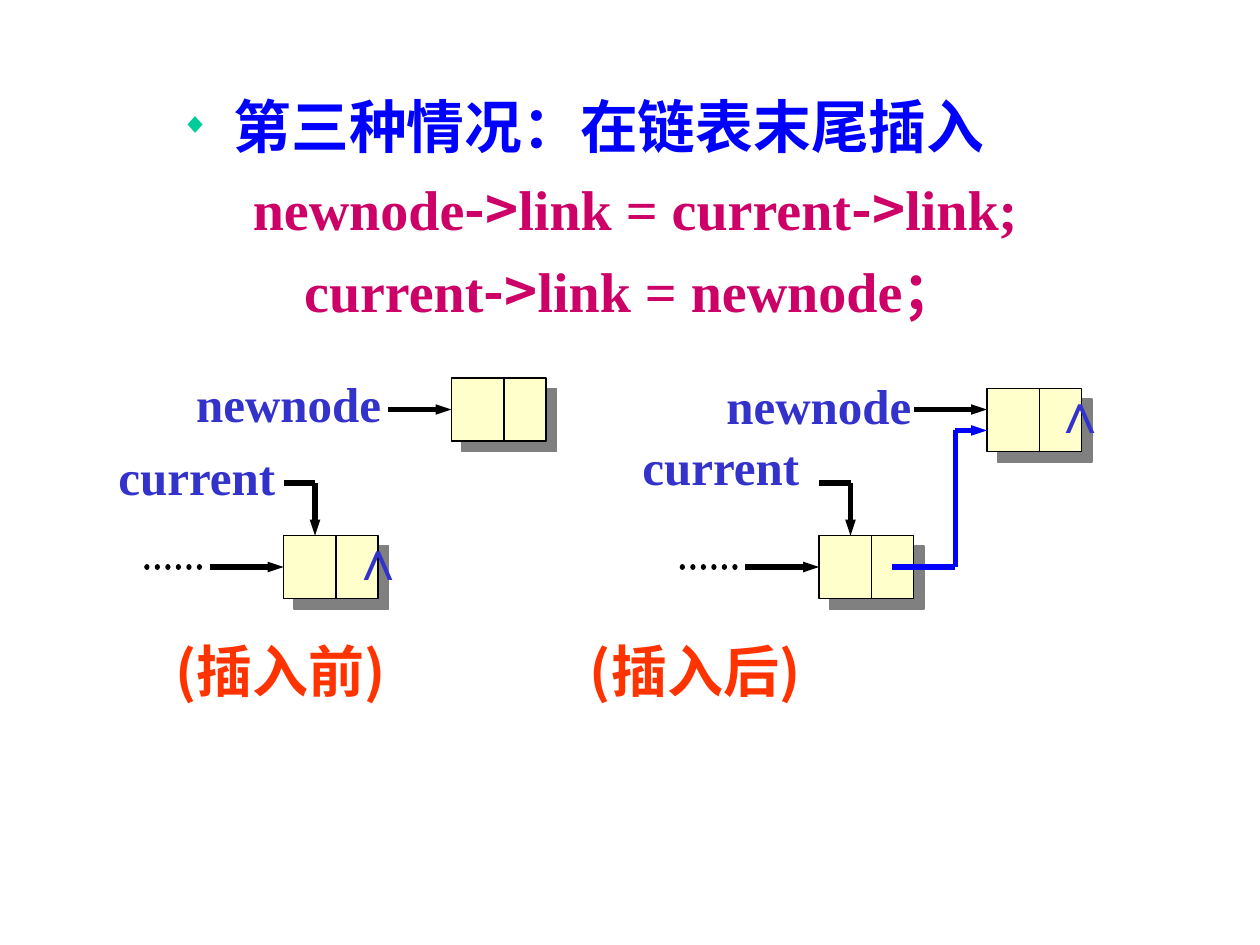
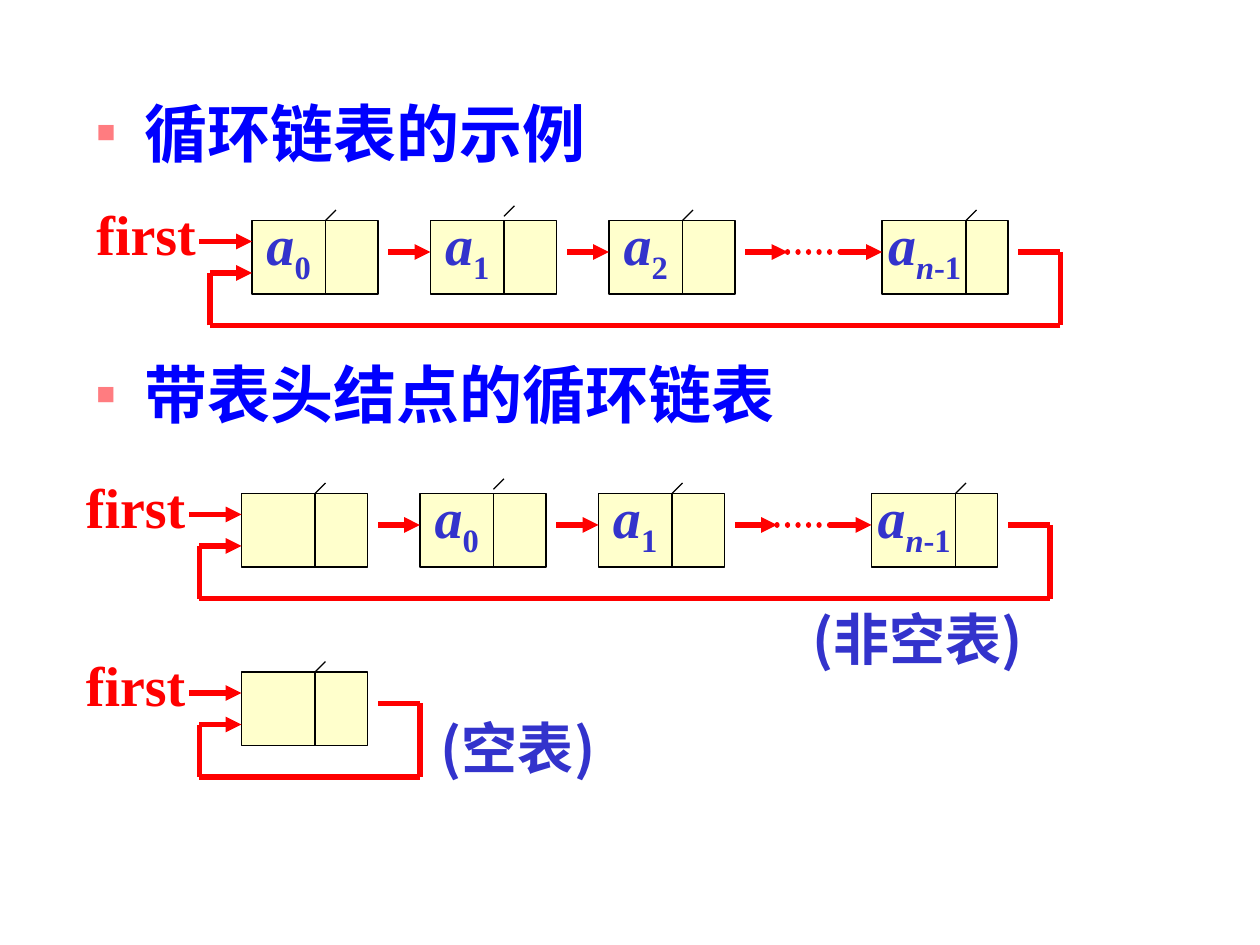
import dataclasses
import itertools

import lxml.etree
import pptx
import pptx.dml.color
import pptx.enum.dml
import pptx.enum.shapes
import pptx.enum.text
import pptx.oxml
import pptx.oxml.ns
import pptx.util


@dataclasses.dataclass(frozen=True)
class Theme:
    heading: str = "0000FF"
    code: str = "CC0066"
    label: str = "3333CC"
    caption: str = "FF3300"
    loop: str = "FF0000"
    ink: str = "000000"
    node: str = "FFFFCC"
    shadow: str = "808080"
    diamond: str = "00CC99"
    square: str = "FF7C80"
    serif: str = "Times New Roman"
    sans: str = "Arial"
    chinese: str = "Noto Sans CJK SC"
    first_heading_size: int = 33
    heading_size: int = 36
    body_size: int = 32
    pointer_size: int = 28
    thin: float = 0.75
    thick: float = 3


THEME = Theme()
GRID = 2.54 / 12  # all positions are counted in twelfths of an inch
qn = pptx.oxml.ns.qn
rgb = pptx.dml.color.RGBColor.from_string


def add_text(slide, text, left, top, width, height=7, shape=None, size=THEME.body_size,
             color=THEME.label, font=THEME.serif, bullet=None, bullet_color=None,
             hanging=0, line_spacing=None):
    """Place text: a string, or a list of (string, run format) pairs."""
    box = [pptx.util.Cm(value * GRID) for value in (left, top, width, height)]
    if shape is None:
        shape = slide.shapes.add_textbox(*box)
    shape.left, shape.top, shape.width, shape.height = box
    frame = shape.text_frame
    frame.word_wrap = True
    frame.auto_size = pptx.enum.text.MSO_AUTO_SIZE.NONE
    frame.vertical_anchor = pptx.enum.text.MSO_ANCHOR.TOP
    paragraph = frame.paragraphs[0]
    paragraph.alignment = pptx.enum.text.PP_ALIGN.LEFT
    if line_spacing:
        paragraph.line_spacing = line_spacing
    if bullet:
        properties = paragraph._p.get_or_add_pPr()
        indent = pptx.util.Cm(hanging)
        properties.set("marL", str(indent))
        properties.set("indent", str(-indent))
        bullet_color_element = lxml.etree.SubElement(properties, qn("a:buClr"))
        lxml.etree.SubElement(bullet_color_element, qn("a:srgbClr"), val=bullet_color)
        lxml.etree.SubElement(properties, qn("a:buSzPct"), val="50000")
        lxml.etree.SubElement(properties, qn("a:buFont"), typeface=THEME.sans)
        lxml.etree.SubElement(properties, qn("a:buChar"), char=bullet)
    for content, run_format in [(text, {})] if isinstance(text, str) else text:
        run = paragraph.add_run()
        run.text = content
        run.font.size = pptx.util.Pt(size)
        run.font.bold = True
        run.font.italic = run_format.get("italic", False)
        run.font.color.rgb = rgb(color)
        run.font.name = run_format.get("font", font)
        run_properties = run._r.get_or_add_rPr()
        east_asian = lxml.etree.Element(qn("a:ea"), typeface=THEME.chinese)
        run_properties.find(qn("a:latin")).addnext(east_asian)
        if "baseline" in run_format:
            run_properties.set("baseline", str(run_format["baseline"] * 1000))


def add_path(slide, points, color=THEME.ink, width=THEME.thick, arrow=None, dotted=False):
    """Join the points with straight lines; arrow is the head width on the last one."""
    for start, end in itertools.pairwise(points):
        ends = [pptx.util.Cm(value * GRID) for value in (*start, *end)]
        connector = slide.shapes.add_connector(pptx.enum.shapes.MSO_CONNECTOR.STRAIGHT, *ends)
        connector.line.color.rgb = rgb(color)
        connector.line.width = pptx.util.Pt(width)
        line = connector.line._get_or_add_ln()
        if dotted:
            connector.line.dash_style = pptx.enum.dml.MSO_LINE.ROUND_DOT
            line.set("cap", "rnd")
        if arrow and end == points[-1]:
            lxml.etree.SubElement(line, qn("a:tailEnd"), type="triangle", w=arrow, len="med")
        lxml.etree.SubElement(connector._element.spPr, qn("a:effectLst"))


presentation = pptx.Presentation()
presentation.slide_width = pptx.util.Cm(25.4)
presentation.slide_height = pptx.util.Cm(19.05)
title_only = presentation.slide_layouts[5]
insert_slide = presentation.slides.add_slide(title_only)
circular_slide = presentation.slides.add_slide(title_only)

# Headings
add_text(insert_slide, "第三种情况：在链表末尾插入", 16, 8, 94,
         shape=insert_slide.shapes.title, size=THEME.first_heading_size, color=THEME.heading,
         bullet="◆", bullet_color=THEME.diamond, hanging=1.07)
for text, top, shape in (("循环链表的示例", 8, circular_slide.shapes.title),
                         ("带表头结点的循环链表", 32.9, None)):
    add_text(circular_slide, text, 8, top, 102, shape=shape, size=THEME.heading_size,
             color=THEME.heading, bullet="■", bullet_color=THEME.square,
             hanging=0.97, line_spacing=1.05)

# Circular lists: left and top of the first node, then the item in each node
NODE_STEP, LAST_NODE_OFFSET = 17, 60
circular_lists = [
    (24, 21, ["0", "1", "2", "n"]),
    (23, 47, ["", "0", "1", "n"]),
    (23, 64, [""]),
]

# Nodes of both slides: slide, left, top, width, height, divider
nodes = [(insert_slide, left, top, 9, 6, 5)
         for left, top in ((27, 51), (43, 36), (78, 51), (94, 37))]
for left, top, items in circular_lists:
    for index, item in enumerate(items):
        offset = LAST_NODE_OFFSET if item == "n" else index * NODE_STEP
        divider = 8 if item == "n" else 7
        nodes.append((circular_slide, left + offset, top, 12, 7, divider))
        # Slash above the divider, raised a little on the second node
        slash_top = top - 0.4 if index == 1 else top
        slash_left = left + offset + divider
        add_path(circular_slide, [(slash_left, slash_top), (slash_left + 1, slash_top - 1)],
                 width=THEME.thin)

for slide, left, top, width, height, divider in nodes:
    node = slide.shapes.add_shape(
        pptx.enum.shapes.MSO_SHAPE.RECTANGLE,
        *[pptx.util.Cm(value * GRID) for value in (left, top, width, height)])
    node.fill.solid()
    node.fill.fore_color.rgb = rgb(THEME.node)
    node.line.color.rgb = rgb(THEME.ink)
    node.line.width = pptx.util.Pt(THEME.thin)
    node.shadow.inherit = False
    if slide is insert_slide:
        effects = node._element.spPr.find(qn("a:effectLst"))
        shadow = lxml.etree.SubElement(effects, qn("a:outerShdw"), algn="ctr", rotWithShape="0",
                                       dist=str(pptx.util.Pt(8.5)), dir=str(45 * 60000))
        lxml.etree.SubElement(shadow, qn("a:srgbClr"), val=THEME.shadow)
    add_path(slide, [(left + divider, top), (left + divider, top + height)], width=THEME.thin)

# Slide 1: code
arrow_run = ("->", {"font": THEME.chinese})
for runs, left, top in (
    ([("newnode", {}), arrow_run, ("link = current", {}), arrow_run, ("link;", {})], 22.9, 16),
    ([("current", {}), arrow_run, ("link = newnode；", {})], 27.8, 23.8),
):
    add_text(insert_slide, runs, left, top, 85, color=THEME.code)

# Slide 1: the list end, before and after
for shift in (0, 51):
    add_path(insert_slide, [(19 + shift, 54), (13 + shift, 54)], dotted=True)
    add_path(insert_slide, [(20 + shift, 54), (27 + shift, 54)], arrow="sm")
    add_path(insert_slide, [(27 + shift, 46), (30 + shift, 46), (30 + shift, 51)], arrow="sm")
for start, end in ((37, 43), (87, 94)):
    add_path(insert_slide, [(start, 39), (end, 39)], arrow="sm")
add_path(insert_slide, [(85, 54), (91, 54), (91, 41), (94, 41)],
         color=THEME.heading, arrow="sm")
for text, left, top in (("newnode", 17.5, 35), ("newnode", 68, 35.2),
                        ("current", 10.1, 41.9), ("current", 60, 41)):
    add_text(insert_slide, text, left, top, 22, size=THEME.pointer_size)
for left, top in ((32.2, 49.4), (99.1, 35.4)):
    add_text(insert_slide, "∧", left, top, 10, font=THEME.sans)
for text, left in (("(插入前)", 15.5), ("(插入后)", 55)):
    add_text(insert_slide, text, left, 60, 32, color=THEME.caption, font=THEME.chinese)

# Slide 2: links, items and the way back to the first node
for left, top, items in circular_lists:
    link = top + 3
    last = left + (LAST_NODE_OFFSET if "n" in items else 0)
    add_text(circular_slide, "first", left - 16, top - 2.6, 14, color=THEME.loop)
    paths = [
        [(left - 5, top + 2), (left, top + 2)],
        [(last + 13, link), (last + 17, link), (last + 17, top + 10),
         (left - 4, top + 10), (left - 4, top + 5), (left, top + 5)],
    ]
    if "n" in items:
        starts = [left + 13 + index * NODE_STEP for index in range(3)] + [last - 4]
        paths += [[(start, link), (start + 4, link)] for start in starts]
        add_path(circular_slide, [(last - 9, link), (last - 3, link)],
                 color=THEME.loop, dotted=True)
    for points in paths:
        add_path(circular_slide, points, color=THEME.loop, arrow="med")
    for index, item in enumerate(items):
        if item == "n":
            runs = [("a", {"italic": True}), ("n", {"italic": True, "baseline": -25}),
                    ("-1", {"baseline": -25})]
            add_text(circular_slide, runs, last - 0.6, top - 1.6, 12, 8.5)
        elif item:
            runs = [("a", {"italic": True}), (item, {"baseline": -25})]
            add_text(circular_slide, runs, left + index * NODE_STEP + 0.2, top - 1.6, 9, 8.5)

# Slide 2: captions
for text, left, top in (("(非空表)", 76.2, 57), ("(空表)", 40.8, 67.4)):
    add_text(circular_slide, text, left, top, 32, font=THEME.chinese)

presentation.save("out.pptx")
